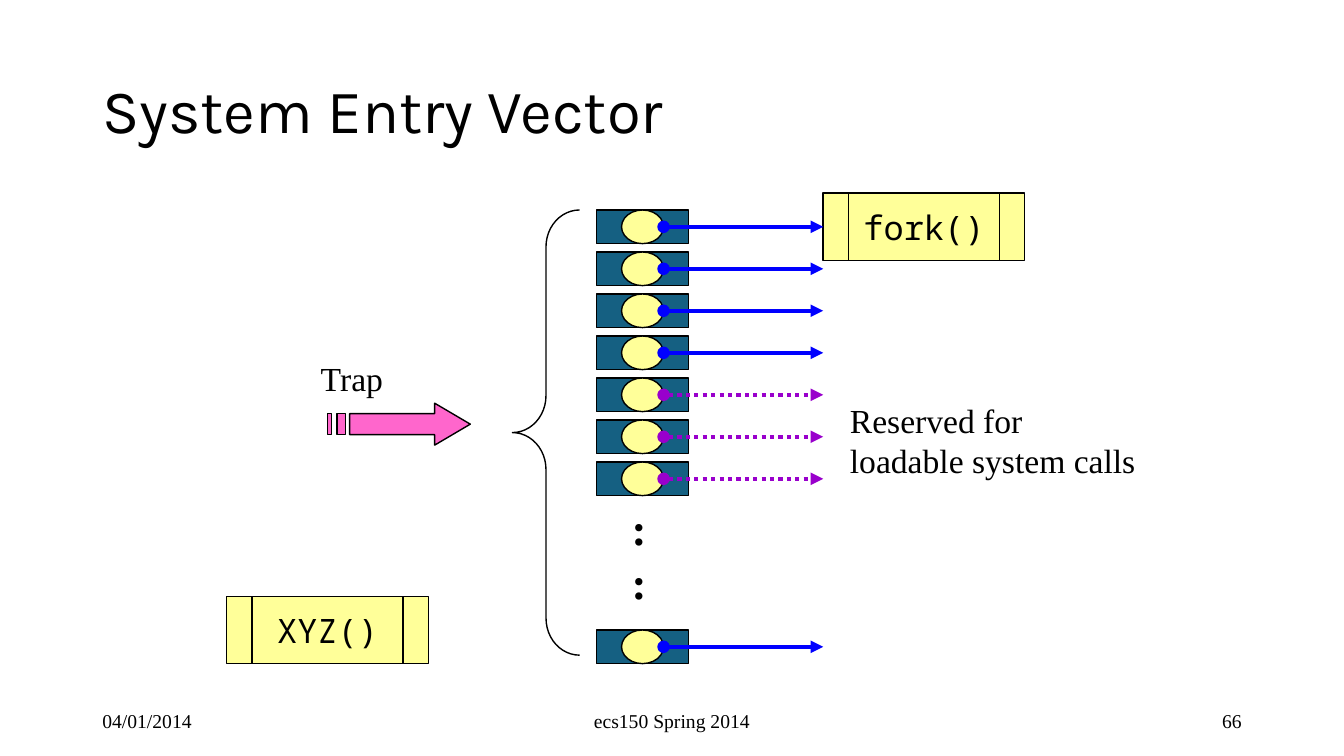
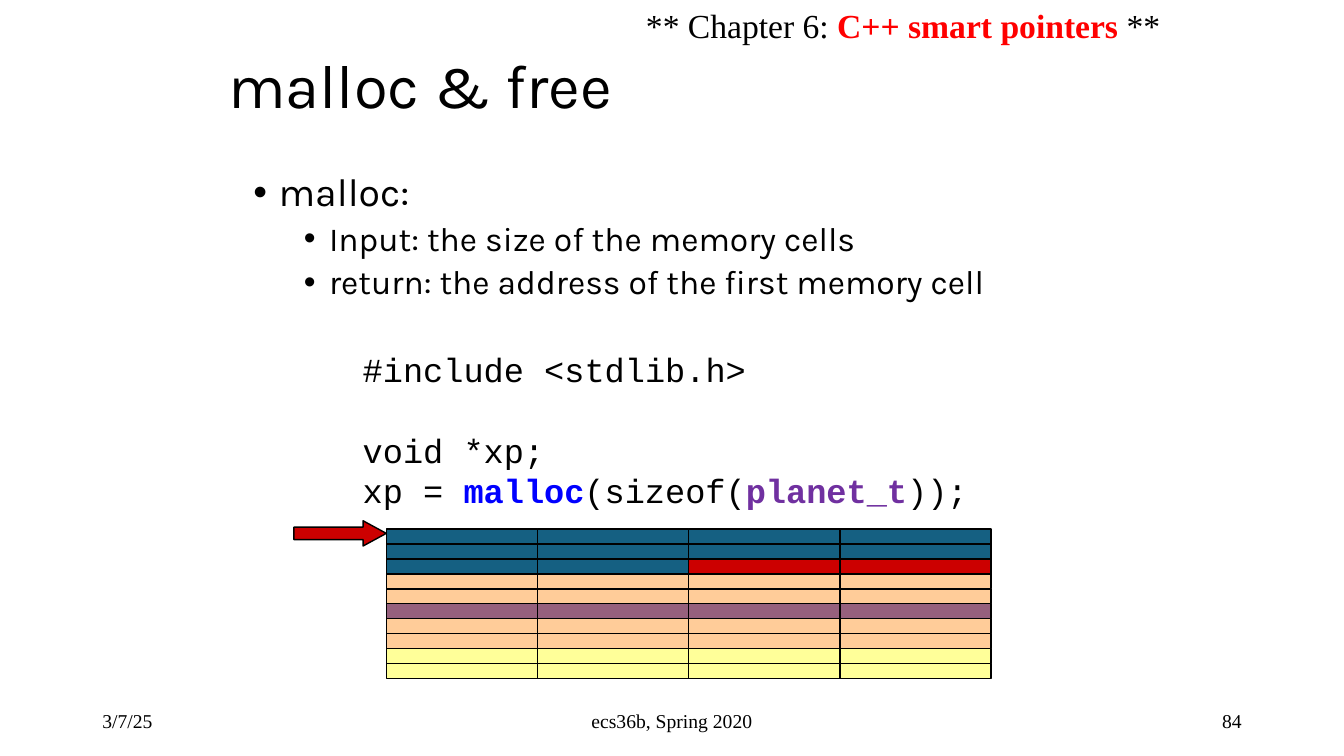
from dataclasses import dataclass
from typing import Optional

import lxml.etree
import pptx
import pptx.dml.color
import pptx.enum.dml
import pptx.enum.shapes
import pptx.enum.text
import pptx.oxml.ns
import pptx.util

Pt = pptx.util.Pt
RGBColor = pptx.dml.color.RGBColor
Shape = pptx.enum.shapes.MSO_SHAPE
Align = pptx.enum.text.PP_ALIGN
Anchor = pptx.enum.text.MSO_ANCHOR
qn = pptx.oxml.ns.qn

# Colours and fonts
BLACK = RGBColor(0x00, 0x00, 0x00)
TEAL = RGBColor(0x15, 0x60, 0x82)
YELLOW = RGBColor(0xFF, 0xFF, 0x99)
PEACH = RGBColor(0xFF, 0xCC, 0x99)
PLUM = RGBColor(0x96, 0x60, 0x7D)
DARK_RED = RGBColor(0xCC, 0x00, 0x00)
RED = RGBColor(0xFF, 0x00, 0x00)
PINK = RGBColor(0xFF, 0x66, 0xCC)
BLUE = RGBColor(0x00, 0x00, 0xFF)
PURPLE = RGBColor(0x99, 0x00, 0xCC)
VIOLET = RGBColor(0x70, 0x30, 0xA0)
SERIF, SANS = "Times New Roman", "Karla"
CODE, MONO = "Courier New", "Noto Sans Mono"


@dataclass(frozen=True)
class Box:
    left: float
    top: float
    width: float
    height: float

    def lengths(self) -> tuple:
        return Pt(self.left), Pt(self.top), Pt(self.width), Pt(self.height)


@dataclass(frozen=True)
class Run:
    text: str
    color: RGBColor = BLACK
    bold: bool = False


@dataclass(frozen=True)
class Para:
    runs: tuple[Run, ...]
    size: float = 24
    font: str = SERIF
    align: Align = Align.LEFT
    line_spacing: float = 1.0
    space_before: float = 0
    bullet_indent: Optional[float] = None


@dataclass(frozen=True)
class Slot:
    row: int
    color: RGBColor = BLUE
    dotted: bool = False


def plain(text: str, **style) -> Para:
    return Para((Run(text),), **style)


# Text
def write(frame, paras: list[Para]) -> None:
    for index, para in enumerate(paras):
        p = frame.paragraphs[0] if index == 0 else frame.add_paragraph()
        p.alignment = para.align
        p.line_spacing = para.line_spacing
        p.space_before = Pt(para.space_before)
        if para.bullet_indent is not None:
            props = p._p.get_or_add_pPr()
            props.set("marL", str(Pt(para.bullet_indent)))
            props.set("indent", str(Pt(-18)))
            lxml.etree.SubElement(props, qn("a:buFont"), typeface="Arial")
            lxml.etree.SubElement(props, qn("a:buChar"), char="•")
        for part in para.runs:
            run = p.add_run()
            run.text = part.text
            run.font.name = para.font
            run.font.size = Pt(para.size)
            run.font.bold = part.bold
            run.font.color.rgb = part.color


def add_text(slide, box: Box, paras: list[Para],
             anchor: Anchor = Anchor.TOP, grow: bool = False) -> None:
    frame = slide.shapes.add_textbox(*box.lengths()).text_frame
    frame.word_wrap = not grow
    if grow:
        frame.auto_size = pptx.enum.text.MSO_AUTO_SIZE.SHAPE_TO_FIT_TEXT
    frame.vertical_anchor = anchor
    write(frame, paras)


# Shapes
def paint(shape, fill: Optional[RGBColor]) -> None:
    shape.shadow.inherit = False
    if fill is None:
        shape.fill.background()
    else:
        shape.fill.solid()
        shape.fill.fore_color.rgb = fill
    shape.line.color.rgb = BLACK
    shape.line.width = Pt(1)


def add_outlined(shapes, kind: Shape, box: Box, fill: Optional[RGBColor] = None,
                 adjustments: tuple[float, ...] = ()):
    shape = shapes.add_shape(kind, *box.lengths())
    for index, value in enumerate(adjustments):
        shape.adjustments[index] = value
    paint(shape, fill)
    return shape


def add_routine(slide, box: Box, label: str):
    routine = add_outlined(slide.shapes, Shape.FLOWCHART_PREDEFINED_PROCESS, box, YELLOW)
    routine.text_frame.word_wrap = False
    routine.text_frame.vertical_anchor = Anchor.MIDDLE
    write(routine.text_frame, [plain(label, font=MONO, align=Align.CENTER)])
    return routine


def add_pointer(slide, start: float, end: float, y: float, slot: Slot):
    pointer = slide.shapes.add_connector(
        pptx.enum.shapes.MSO_CONNECTOR.STRAIGHT, Pt(start), Pt(y), Pt(end), Pt(y))
    pointer.line.color.rgb = slot.color
    pointer.line.width = Pt(3)
    if slot.dotted:
        pointer.line.dash_style = pptx.enum.dml.MSO_LINE.ROUND_DOT
    line = pointer.line._get_or_add_ln()
    lxml.etree.SubElement(line, qn("a:headEnd"), type="oval")
    lxml.etree.SubElement(line, qn("a:tailEnd"), type="triangle")
    lxml.etree.SubElement(pointer._element.spPr, qn("a:effectLst"))
    return pointer


def add_striped_arrow(slide) -> None:
    upper, lower, neck = 295.5, 310.5, 310.5
    outlines = [
        [(neck, 288), (neck, upper), (249.75, upper), (249.75, lower),
         (neck, lower), (neck, 318), (336, 303)],
        *([(left, upper), (left, lower), (right, lower), (right, upper)]
          for left, right in ((240.75, 246.75), (234, 236.75))),
    ]
    builder = None
    for outline in outlines:
        first, *rest = [(Pt(x), Pt(y)) for x, y in outline]
        if builder is None:
            builder = slide.shapes.build_freeform(*first)
        else:
            builder.move_to(*first)
        builder.add_line_segments(rest, close=True)
    paint(builder.convert_to_shape(), PINK)


# Parts shared by the slides
def add_page(deck, title: str, title_box: Box, date: str, course: str, number: str):
    slide = deck.slides.add_slide(deck.slide_layouts[6])
    footers = (
        (66, 216, date, Align.LEFT),
        (318, 324, course, Align.CENTER),
        (678, 216, number, Align.RIGHT),
    )
    for left, width, text, align in footers:
        add_text(slide, Box(left, 500.5, width, 28.8),
                 [plain(text, size=14, align=align)], Anchor.MIDDLE)
    add_text(slide, title_box, [plain(title, size=44, font=SANS, line_spacing=0.9)],
             Anchor.MIDDLE)
    return slide


def build_entry_vector(deck) -> None:
    slide = add_page(deck, "System Entry Vector", Box(66, 28.8, 828, 104.4),
                     "04/01/2014", "ecs150 Spring 2014", "66")
    fork = add_routine(slide, Box(588, 138, 144, 48), "fork()")
    add_routine(slide, Box(162, 426, 144, 48), "XYZ()")

    # Vector slots with their pointers
    slots = [
        *(Slot(row) for row in range(4)),
        *(Slot(row, PURPLE, True) for row in range(4, 7)),
        Slot(10),
    ]
    for slot in slots:
        top = 150 + 30 * slot.row
        add_outlined(slide.shapes, Shape.RECTANGLE, Box(426, top, 66, 24), TEAL)
        add_outlined(slide.shapes, Shape.OVAL, Box(444, top, 30, 24), YELLOW)
        pointer = add_pointer(slide, 474, 588, top + 12, slot)
        if slot.row == 0:
            pointer.end_connect(fork, 1)
    add_text(slide, Box(444, 354, 25.2, 84),
             [Para((Run(":", bold=True),), size=32)] * 2, grow=True)

    # Trap and annotations
    add_striped_arrow(slide)
    add_text(slide, Box(222, 252, 60, 36), [plain("Trap")], grow=True)
    add_outlined(slide.shapes, Shape.LEFT_BRACE, Box(366, 150, 48, 318),
                 adjustments=(0.55, 0.5))
    add_text(slide, Box(600, 282, 220, 65.5),
             [plain("Reserved for"), plain("loadable system calls")], grow=True)


def build_malloc(deck) -> None:
    slide = add_page(deck, "malloc & free", Box(156, 18, 612, 90),
                     "3/7/25", "ecs36b, Spring 2020", "84")
    detail = dict(font=SANS, line_spacing=0.9, space_before=5, bullet_indent=54)
    add_text(slide, Box(174, 120, 612, 324), [
        plain("malloc:", size=28, font=SANS, line_spacing=0.9,
              space_before=10, bullet_indent=18),
        plain("Input: the size of the memory cells", **detail),
        plain("return: the address of the first memory cell", **detail),
    ])

    # Memory cells
    memory = slide.shapes.add_group_shape().shapes
    row_colors = [TEAL] * 3 + [PEACH] * 2 + [PLUM] + [PEACH] * 2 + [YELLOW] * 2
    cell_width, cell_height = 108, 10.65
    for column in range(4):
        for row, color in enumerate(row_colors):
            unused = row == 2 and column >= 2
            cell = Box(276 + column * cell_width, 378 + row * cell_height,
                       cell_width, cell_height)
            add_outlined(memory, Shape.RECTANGLE, cell, DARK_RED if unused else color)

    # Code, address arrow and chapter note
    call = (Run("xp = "), Run("malloc", BLUE, True), Run("(sizeof("),
            Run("planet_t", VIOLET, True), Run("));"))
    add_text(slide, Box(252, 246, 450, 124), [
        plain("#include <stdlib.h>", font=CODE),
        plain("void *xp;", font=CODE, space_before=28.8),
        Para(call, font=CODE),
    ], grow=True)
    add_outlined(slide.shapes, Shape.RIGHT_ARROW, Box(210, 372, 66, 18), DARK_RED,
                 (0.5, 0.92))
    chapter = (Run("** Chapter 6: "), Run("C++ smart pointers", RED, True), Run(" **"))
    add_text(slide, Box(454.3, 0, 385.2, 36.5), [Para(chapter)], grow=True)


def main() -> None:
    deck = pptx.Presentation()
    deck.slide_width, deck.slide_height = Pt(960), Pt(540)
    build_entry_vector(deck)
    build_malloc(deck)
    deck.save("out.pptx")


if __name__ == "__main__":
    main()
